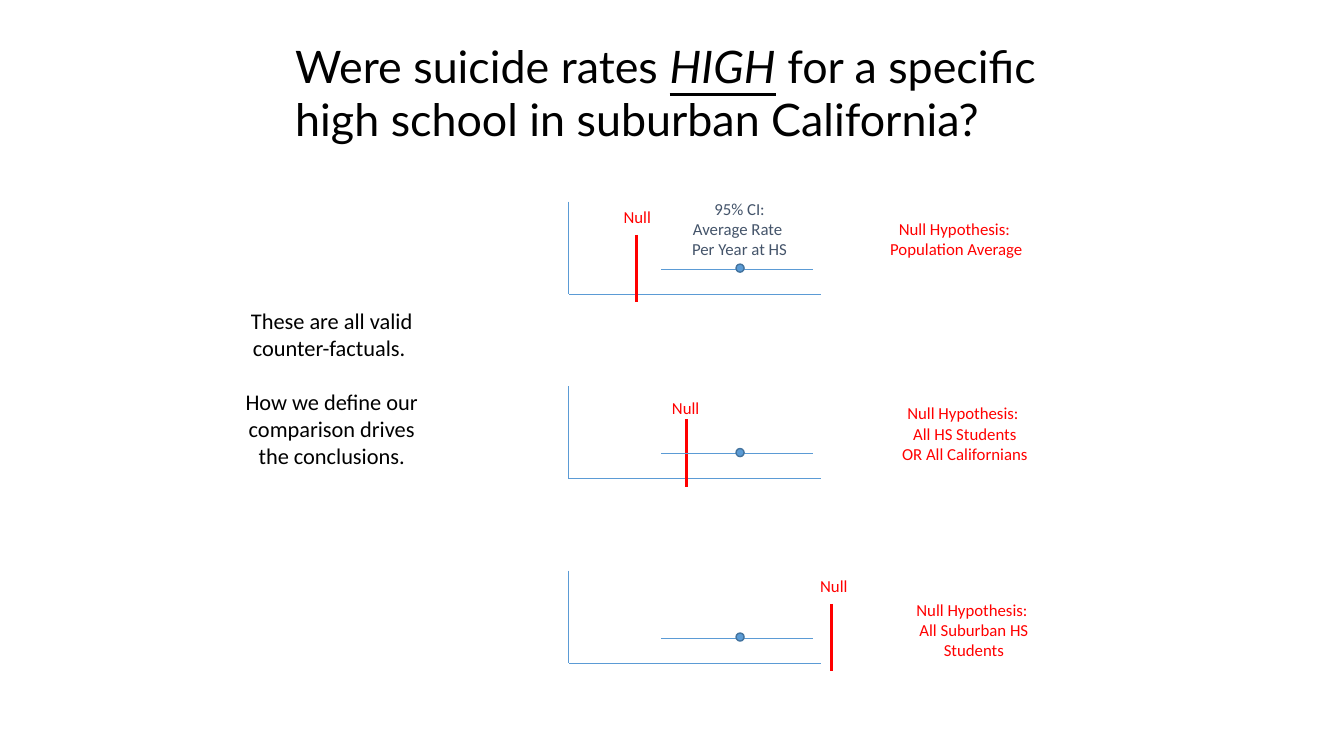
from lxml import etree
from pptx import Presentation
from pptx.dml.color import RGBColor
from pptx.enum.shapes import MSO_CONNECTOR, MSO_SHAPE
from pptx.enum.text import MSO_AUTO_SIZE, PP_ALIGN
from pptx.oxml.ns import qn
from pptx.util import Inches, Pt

COLORS = {"title": "000000", "axis": "5B9BD5", "dot_edge": "43739E",
          "null": "FF0000", "label": "44546A"}

presentation = Presentation()
presentation.slide_width = Inches(13.33)
presentation.slide_height = Inches(7.5)
slide = presentation.slides.add_slide(presentation.slide_layouts[6])


def add_line(x1, y1, x2, y2, color, width):
    line = slide.shapes.add_connector(
        MSO_CONNECTOR.STRAIGHT, Inches(x1), Inches(y1), Inches(x2), Inches(y2))
    line.line.color.rgb = RGBColor.from_string(COLORS[color])
    line.line.width = Pt(width)
    etree.SubElement(line._element.spPr, qn("a:effectLst"))


def add_text(text, left, top, width, height, color, size=12, font="Calibri",
             align=PP_ALIGN.CENTER, wrap=False):
    box = slide.shapes.add_textbox(
        Inches(left), Inches(top), Inches(width), Inches(height))
    frame = box.text_frame
    frame.text = text
    frame.word_wrap = wrap
    frame.auto_size = MSO_AUTO_SIZE.SHAPE_TO_FIT_TEXT
    for paragraph in frame.paragraphs:
        paragraph.alignment = align
        for run in paragraph.runs:
            run.font.size = Pt(size)
            run.font.name = font
            run.font.color.rgb = RGBColor.from_string(COLORS[color])
    return frame


# Title with the emphasised word in its own run
title = add_text("Were suicide rates ", 2.83, 0.33, 7.67, 1.18, "title",
                 size=32, font="Lato", align=PP_ALIGN.LEFT, wrap=True)
for text, emphasised in (("HIGH", True),
                         (" for a specific high school in suburban California?", False)):
    run = title.paragraphs[0].add_run()
    run.text = text
    run.font.size = Pt(32)
    run.font.name = "Lato"
    run.font.color.rgb = RGBColor.from_string(COLORS["title"])
    run.font.italic = run.font.underline = emphasised

# Three panels: null line x, "Null" label position, hypothesis text and its box
panels = [
    (6.31, 6.08, 2.0, "Null Hypothesis: \nPopulation Average", (8.72, 2.12, 1.53, 0.5)),
    (6.81, 6.56, 3.9, "Null Hypothesis: \nAll HS Students\nOR All Californians",
     (8.84, 3.95, 1.46, 0.71)),
    (8.25, 8.03, 5.66, "Null Hypothesis: \nAll Suburban HS\nStudents",
     (8.98, 5.9, 1.36, 0.71)),
]
for index, (null_x, label_x, label_y, hypothesis, hypothesis_box) in enumerate(panels):
    top = 2 + 1.83 * index
    add_line(5.64, top, 5.64, top + 0.92, "axis", 0.5)
    add_line(8.14, top + 0.92, 5.64, top + 0.92, "axis", 0.5)
    add_line(null_x, top + 0.33, null_x, top + 1, "null", 2)

    # Confidence interval and its estimate
    add_line(6.56, top + 0.67, 8.06, top + 0.67, "axis", 0.5)
    estimate = slide.shapes.add_shape(
        MSO_SHAPE.OVAL, Inches(7.3), Inches(top + 0.62), Inches(0.08), Inches(0.08))
    estimate.shadow.inherit = False
    estimate.fill.solid()
    estimate.fill.fore_color.rgb = RGBColor.from_string(COLORS["axis"])
    estimate.line.color.rgb = RGBColor.from_string(COLORS["dot_edge"])
    estimate.line.width = Pt(1)

    add_text("Null", label_x, label_y, 0.48, 0.3, "null")
    add_text(hypothesis, *hypothesis_box, "null")

# Label of the first interval
add_text("95% CI:\nAverage Rate \nPer Year at HS", 6.76, 1.92, 1.15, 0.71, "label")

# Conclusion on the left
conclusion = add_text(
    "These are all valid counter-factuals. \n"
    "How we define our comparison drives the conclusions.",
    2.25, 3, 2.08, 1.72, "title", size=16, wrap=True)
conclusion.paragraphs[1].space_before = Pt(19.5)

presentation.save("out.pptx")
